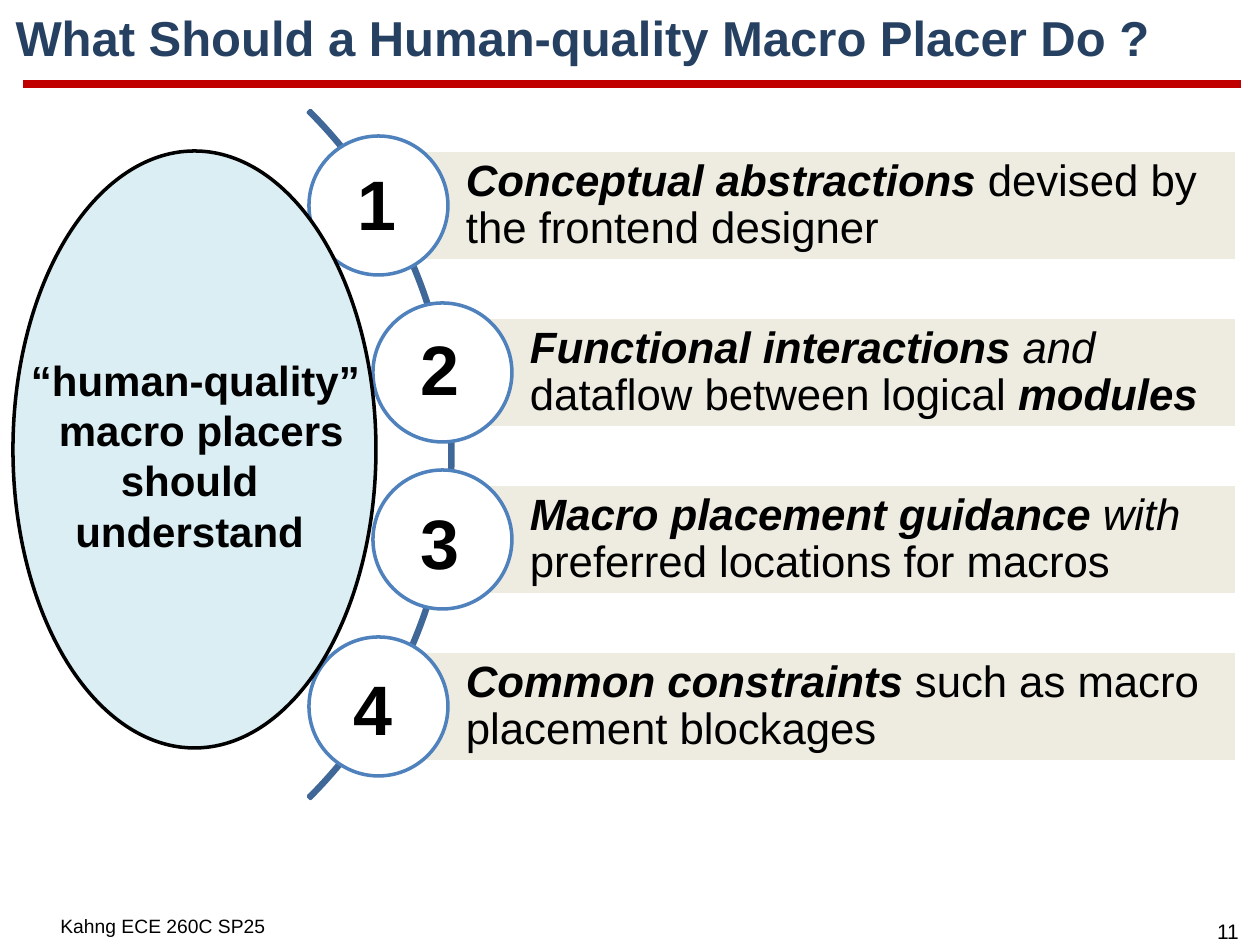
import pptx
import pptx.util
import pptx.dml.color
import pptx.enum.shapes
import pptx.enum.text
import pptx.oxml

SHAPE = pptx.enum.shapes.MSO_SHAPE
ALIGN = pptx.enum.text.PP_ALIGN
MIDDLE = pptx.enum.text.MSO_ANCHOR.MIDDLE
PX = 914400 / 126

TITLE = "What Should a Human-quality Macro Placer Do ?"
SUBJECT = ["“human-quality” ", " macro placers", "should ", "understand "]
FOOTER, PAGE = "Kahng ECE 260C SP25", "11"

# Each item: circle left, number position, runs of (text, bold, italic)
ITEMS = [
    (309, (345, 154), [("Conceptual abstractions ", True, True),
                       ("devised by the frontend designer", False, False)]),
    (373, (408, 319), [("Functional interactions ", True, True),
                       ("and ", False, True),
                       ("dataflow between logical ", False, False),
                       ("modules", True, True)]),
    (373, (408, 493), [("Macro placement guidance ", True, True),
                       ("with ", False, True),
                       ("preferred locations for macros", False, False)]),
    (309, (341, 659), [("Common constraints ", True, True),
                       ("such as macro placement blockages", False, False)]),
]
CIRCLE, CIRCLE_TOP, PITCH = 139, 136, 167
BAR_HEIGHT, BAR_RIGHT = 111, 1237


def px(*values):
    return [pptx.util.Emu(round(v * PX)) for v in values]


def rgb(color):
    return pptx.dml.color.RGBColor.from_string(color)


def add_shape(s, kind, box, fill, line):
    sp = s.shapes.add_shape(kind, *px(*box))
    sp.shadow.inherit = False
    if fill:
        sp.fill.solid()
        sp.fill.fore_color.rgb = rgb(fill)
    else:
        sp.fill.background()
    sp.line.color.rgb = rgb(line)
    sp.line.width = pptx.util.Pt(2)
    return sp


def style(font, size, color="000000", bold=False, italic=False):
    font.name, font.size = "Arial", pptx.util.Pt(size)
    font.bold, font.italic = bold, italic
    font.color.rgb = rgb(color)


def add_text(s, lines, box, size, bold=False, align=ALIGN.LEFT, wrap=True):
    tf = s.shapes.add_textbox(*px(*box)).text_frame
    tf.word_wrap = wrap
    tf.text = "\n".join(lines)
    for p in tf.paragraphs:
        p.alignment = align
        for r in p.runs:
            style(r.font, size, bold=bold)


def add_header(s):
    rule = s.shapes.add_connector(pptx.enum.shapes.MSO_CONNECTOR.STRAIGHT,
                                  *px(23, 84, 1241, 84))
    rule.line.color.rgb = rgb("C00000")
    rule.line.width = pptx.util.Pt(4.5)
    rule._element.spPr.append(pptx.oxml.parse_xml(
        '<a:effectLst xmlns:a="http://schemas.openxmlformats.org/drawingml/2006/main"/>'))

    title = s.shapes.title
    title.left, title.top, title.width, title.height = px(3, 10, 1251, 62)
    tf = title.text_frame
    tf.text = TITLE
    tf.vertical_anchor = MIDDLE
    tf.auto_size = pptx.enum.text.MSO_AUTO_SIZE.NONE
    p = tf.paragraphs[0]
    p.alignment, p.line_spacing = ALIGN.LEFT, 0.9
    style(p.runs[0].font, 28, "254061", bold=True)


def add_item(s, index, left, runs):
    top = CIRCLE_TOP + index * PITCH
    bar_left = left + CIRCLE // 2
    bar_top = top + (CIRCLE - BAR_HEIGHT) // 2
    bar = add_shape(s, SHAPE.RECTANGLE,
                    (bar_left, bar_top, BAR_RIGHT - bar_left, BAR_HEIGHT),
                    "EEECE1", "FFFFFF")
    tf = bar.text_frame
    tf.word_wrap, tf.vertical_anchor = True, MIDDLE
    tf.margin_left, tf.margin_top, tf.margin_right, tf.margin_bottom = px(88, 9, 9, 9)
    p = tf.paragraphs[0]
    p.alignment, p.line_spacing = ALIGN.LEFT, 0.9
    for text, bold, italic in runs:
        r = p.add_run()
        r.text = text
        style(r.font, 25, bold=bold, italic=italic)
    add_shape(s, SHAPE.OVAL, (left, top, CIRCLE, CIRCLE), "FFFFFF", "4F81BD")


def main():
    prs = pptx.Presentation()
    prs.slide_width, prs.slide_height = px(1260, 945)
    s = prs.slides.add_slide(prs.slide_layouts[5])
    add_header(s)

    arc = add_shape(s, SHAPE.BLOCK_ARC, (-520, -32, 973, 973), None, "3F6797")
    for i, value in enumerate((189, 27, 0.003)):
        arc.adjustments[i] = value

    for i, (left, _, runs) in enumerate(ITEMS):
        add_item(s, i, left, runs)
    add_shape(s, SHAPE.OVAL, (13, 151, 363, 597), "DBEEF4", "000000")
    add_text(s, SUBJECT, (14, 348, 363, 217), 24, bold=True, align=ALIGN.CENTER)
    for i, (_, (x, y), _) in enumerate(ITEMS):
        add_text(s, [str(i + 1)], (x, y, 71, 97), 40, bold=True, wrap=False)

    add_text(s, [FOOTER], (48, 908, 236, 34), 11)
    add_text(s, [PAGE], (1197, 912, 62, 38), 12, align=ALIGN.CENTER)
    prs.save("out.pptx")


if __name__ == "__main__":
    main()
